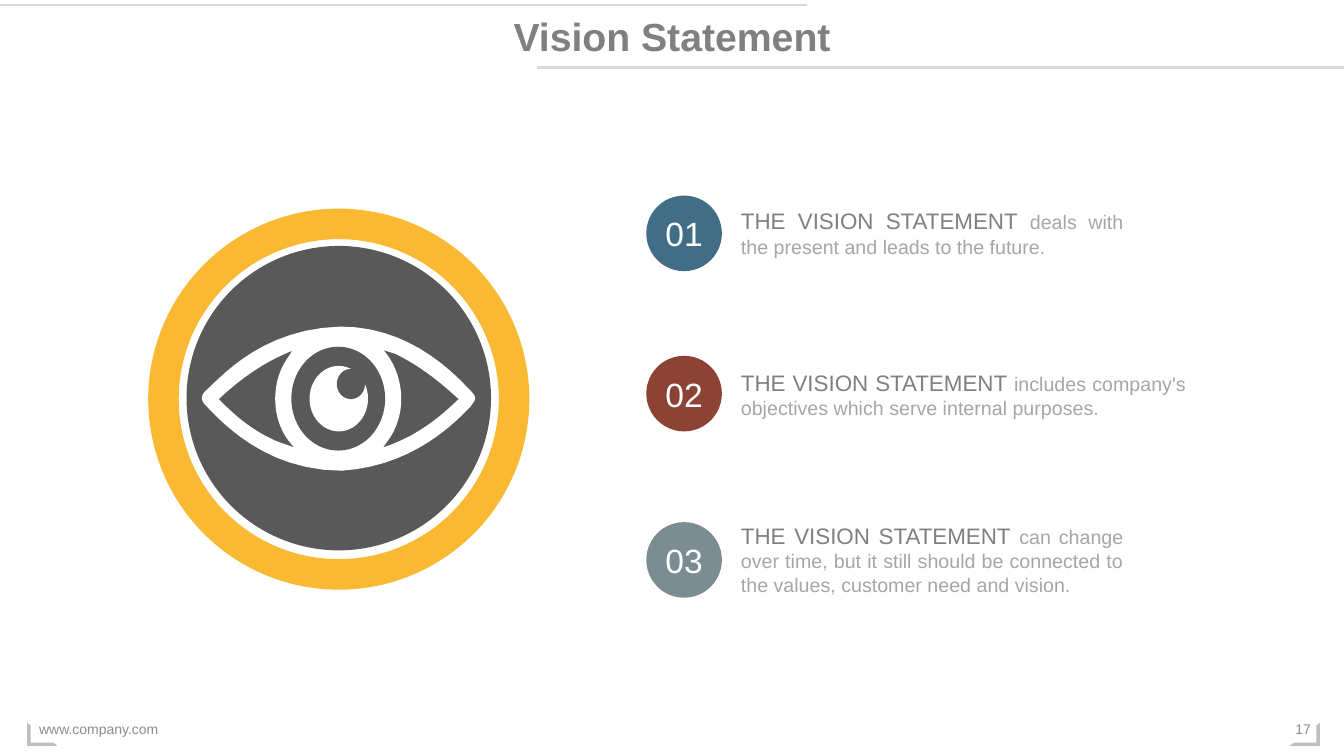
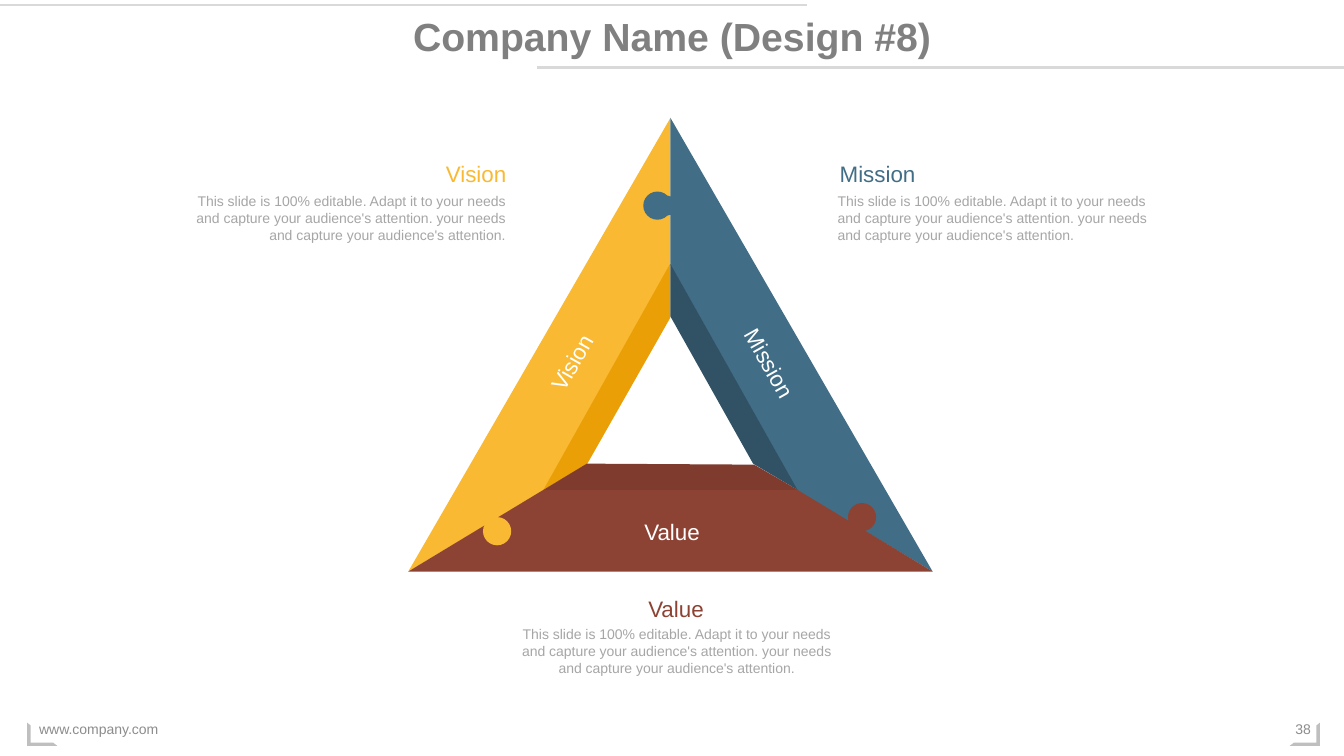
"""Build a vision slide and a company triangle slide in one shared frame."""
from dataclasses import dataclass
from typing import NamedTuple

from lxml.etree import SubElement
from pptx import Presentation
from pptx.dml.color import RGBColor as Rgb
from pptx.enum.shapes import MSO_CONNECTOR as Link, MSO_SHAPE as Kind
from pptx.enum.text import MSO_ANCHOR as Anchor, PP_ALIGN as Align
from pptx.oxml.ns import qn
from pptx.util import Inches, Pt

FONT = "Arial"
GOLD, BLUE, RED, SLATE = "F9B932", "416E86", "8D4334", "7B8C93"
DARK, WHITE, HEAD, BODY = "595959", "FFFFFF", "808080", "A6A6A6"
RULE, EDGE, FOOT = "D9D9D9", "BFBFBF", "8C8C8C"
LEAD = "THE VISION STATEMENT "
BLURB = ("This slide is 100% editable. Adapt it to your needs and capture your "
         "audience's attention. your needs and capture your audience's attention.")


class Box(NamedTuple):
    left: float
    top: float
    width: float
    height: float

    def size(self) -> list:
        return [Inches(v) for v in self]


@dataclass
class Point:
    mark: str
    hue: str
    top: float
    area: Box
    text: str


@dataclass
class Side:
    name: str
    hue: str
    shade: str
    face: list
    inner: list
    knob: tuple
    label: Box
    turn: float
    head: Box
    note: Box
    align: Align


POINTS = [
    Point("01", BLUE, 1.94, Box(7.25, 2.01, 3.99, 0.61),
          "deals with the present and leads to the future."),
    Point("02", RED, 3.53, Box(7.25, 3.61, 4.61, 0.61),
          "includes company's objectives which serve internal purposes."),
    Point("03", SLATE, 5.18, Box(7.25, 5.13, 3.99, 0.84),
          "can change over time, but it still should be connected to the values, "
          "customer need and vision."),
]

SIDES = [
    Side("Vision", GOLD, "EB9F07",
         [(6.65, 1.17), (6.65, 2.62), (5.4, 4.86), (4.05, 5.67)],
         [(6.65, 2.61), (6.65, 3.15), (5.82, 4.61), (5.39, 4.86)],
         (4.93, 5.27), Box(5.05, 3.41, 1.24, 0.37), 299.8,
         Box(3.25, 1.54, 1.87, 0.37), Box(1.84, 1.86, 3.27, 0.61), Align.RIGHT),
    Side("Mission", BLUE, "315265",
         [(6.65, 1.17), (9.25, 5.67), (7.91, 4.87), (6.65, 2.63),
          (6.65, 2.13), (6.62, 2.14), (6.62, 1.94), (6.65, 1.95)],
         [(6.65, 2.62), (6.65, 3.14), (7.47, 4.6), (7.91, 4.86)],
         (6.52, 2.04), Box(6.91, 3.42, 1.44, 0.37), 60.6,
         Box(8.23, 1.54, 2.17, 0.37), Box(8.21, 1.86, 3.28, 0.61), Align.LEFT),
    Side("Value", RED, "7E3B2E",
         [(5.39, 4.86), (7.91, 4.86), (9.25, 5.67), (4.05, 5.67)],
         [(5.82, 4.6), (5.39, 4.86), (7.91, 4.86), (7.48, 4.61)],
         (8.55, 5.13), Box(6.07, 5.09, 1.19, 0.37), 0,
         Box(5.84, 5.86, 1.73, 0.37), Box(4.99, 6.16, 3.44, 0.61), Align.CENTER),
]

LIDS = [
    [(3.38, 3.24), (4, 3.24, 4.43, 3.62, 4.65, 3.86),
     (4.75, 3.95, 4.71, 3.97, 4.67, 4.03), (4.41, 4.31, 4, 4.63, 3.39, 4.67),
     (2.63, 4.67, 2.19, 4.18, 2.03, 4.01), (1.96, 3.93, 2.04, 3.88, 2.07, 3.85),
     (2.23, 3.7, 2.63, 3.26, 3.38, 3.24)],
    [(2.9, 3.48), (2.85, 3.5), (2.59, 3.61, 2.36, 3.78, 2.17, 3.96),
     (2.3, 4.09, 2.47, 4.26, 2.75, 4.38), (2.92, 4.44),
     (2.8, 4.32, 2.73, 4.15, 2.73, 3.96), (2.73, 3.81, 2.77, 3.68, 2.84, 3.57)],
    [(3.79, 3.47), (3.8, 3.47), (3.91, 3.59, 3.98, 3.77, 3.98, 3.96),
     (3.98, 4.1, 3.94, 4.23, 3.87, 4.34), (3.8, 4.44),
     (4.2, 4.31, 4.45, 4.05, 4.55, 3.96), (4.41, 3.83, 4.19, 3.64, 3.92, 3.51)],
]


def tint(hue: str) -> Rgb:
    return Rgb.from_string(hue)


def paint(shape, hue: str):
    shape.shadow.inherit = False
    shape.fill.solid()
    shape.fill.fore_color.rgb = tint(hue)
    shape.line.fill.background()
    return shape


def draw(slide, kind: Kind, box: Box, hue: str):
    return paint(slide.shapes.add_shape(kind, *box.size()), hue)


def style(run, size: float, hue: str, bold: bool = False) -> None:
    font = run.font
    font.name, font.size, font.bold = FONT, Pt(size), bold
    font.color.rgb = tint(hue)


def fill(shape, text: str, size: float, hue: str, align: Align = Align.LEFT,
         anchor: Anchor = Anchor.TOP, bold: bool = False):
    frame = shape.text_frame
    frame.text = text
    frame.word_wrap = True
    frame.vertical_anchor = anchor
    line = frame.paragraphs[0]
    line.alignment = align
    style(line.runs[0], size, hue, bold)
    return line


def write(slide, box: Box, *args):
    shape = slide.shapes.add_textbox(*box.size())
    fill(shape, *args)
    return shape


def trace(path: list) -> list:
    """Turn corners and cubic curves into a list of points in EMU."""
    spots = [path[0]]
    for step in path[1:]:
        if len(step) == 2:
            spots.append(step)
            continue
        ends = [spots[-1], step[:2], step[2:4], step[4:]]
        for n in range(1, 13):
            t = n / 12
            part = ((1 - t) ** 3, 3 * t * (1 - t) ** 2, 3 * t * t * (1 - t), t ** 3)
            spots.append(tuple(sum(p * e[i] for p, e in zip(part, ends))
                               for i in (0, 1)))
    return [(Inches(x), Inches(y)) for x, y in spots]


def shape_of(slide, paths: list, hue: str):
    first, *rest = [trace(p) for p in paths]
    pen = slide.shapes.build_freeform(*first[0], scale=1.0)
    pen.add_line_segments(first[1:], close=True)
    for spots in rest:
        pen.move_to(*spots[0])
        pen.add_line_segments(spots[1:], close=True)
    return paint(pen.convert_to_shape(), hue)


def rule(slide, left: float, top: float):
    line = slide.shapes.add_connector(
        Link.STRAIGHT, Inches(left), Inches(top), Inches(left + 8), Inches(top))
    line.line.color.rgb = tint(RULE)
    line.line.width = Pt(1.5)
    SubElement(line.element.spPr, qn("a:effectLst"))
    return line


def hook(slide, left: float, flip: bool):
    shape = draw(slide, Kind.HALF_FRAME, Box(left, 7.17, 0.3, 0.23), EDGE)
    shape.adjustments[0], shape.adjustments[1] = 0.14, 0.15
    shape.rotation = 180
    if flip:
        shape.element.spPr.find(qn("a:xfrm")).set("flipH", "1")
    return shape


def dress(slide, layout) -> None:
    """Draw the shared rules and corners and move them to the layout."""
    parts = [rule(slide, 0, 0.05), rule(slide, 5.33, 0.67),
             hook(slide, 12.79, False), hook(slide, 0.27, True)]
    for part in parts:
        layout.shapes.element.append(part.element)


def start(deck, layout, title: str, page: str):
    slide = deck.slides.add_slide(layout)
    fill(slide.shapes.title, title, 28, HEAD, Align.CENTER, Anchor.TOP, True)
    write(slide, Box(0.29, 7.03, 4.5, 0.4), "www.company.com", 10, FOOT,
          Align.LEFT, Anchor.MIDDLE)
    write(slide, Box(12.68, 7.03, 0.42, 0.4), page, 10, FOOT,
          Align.RIGHT, Anchor.MIDDLE)
    return slide


def draw_eye(slide) -> None:
    ring = draw(slide, Kind.DONUT, Box(1.47, 2.07, 3.78, 3.78), GOLD)
    ring.adjustments[0] = 0.08
    draw(slide, Kind.OVAL, Box(1.85, 2.44, 3.02, 3.02), DARK)
    shape_of(slide, LIDS, WHITE)
    for box, hue in ((Box(2.89, 3.44, 0.93, 1.03), DARK),
                     (Box(3.07, 3.63, 0.58, 0.65), WHITE),
                     (Box(3.34, 3.66, 0.28, 0.3), DARK)):
        draw(slide, Kind.OVAL, box, hue)


def draw_point(slide, point: Point) -> None:
    disc = draw(slide, Kind.OVAL, Box(6.41, point.top, 0.75, 0.75), point.hue)
    fill(disc, point.mark, 24, WHITE, Align.CENTER, Anchor.MIDDLE)
    frame = disc.text_frame
    frame.margin_left = frame.margin_right = 0
    frame.margin_top = frame.margin_bottom = 0
    shape = slide.shapes.add_textbox(*point.area.size())
    line = fill(shape, LEAD, 16, HEAD, Align.JUSTIFY)
    run = line.add_run()
    run.text = point.text
    style(run, 14, BODY)


def draw_sides(slide) -> None:
    for side in SIDES:
        shape_of(slide, [side.face], side.hue)
    for side in SIDES:
        x, y = side.knob
        draw(slide, Kind.OVAL, Box(x - 0.14, y - 0.14, 0.28, 0.28), side.hue)
        shape_of(slide, [side.inner], side.shade)
        label = write(slide, side.label, side.name, 16, WHITE, Align.CENTER)
        label.rotation = side.turn
        write(slide, side.head, side.name, 16, side.hue, side.align)
        write(slide, side.note, BLURB, 10, BODY, side.align)


def main() -> None:
    deck = Presentation()
    deck.slide_width, deck.slide_height = Inches(13.33), Inches(7.5)
    layout = deck.slide_layouts[5]
    title = layout.placeholders[0]
    title.left, title.top, title.width, title.height = Box(0, 0.07, 13.33, 0.57).size()

    vision = start(deck, layout, "Vision Statement", "17")
    dress(vision, layout)
    draw_eye(vision)
    for point in POINTS:
        draw_point(vision, point)

    draw_sides(start(deck, layout, "Company Name (Design #8)", "38"))
    deck.save("out.pptx")


if __name__ == "__main__":
    main()
